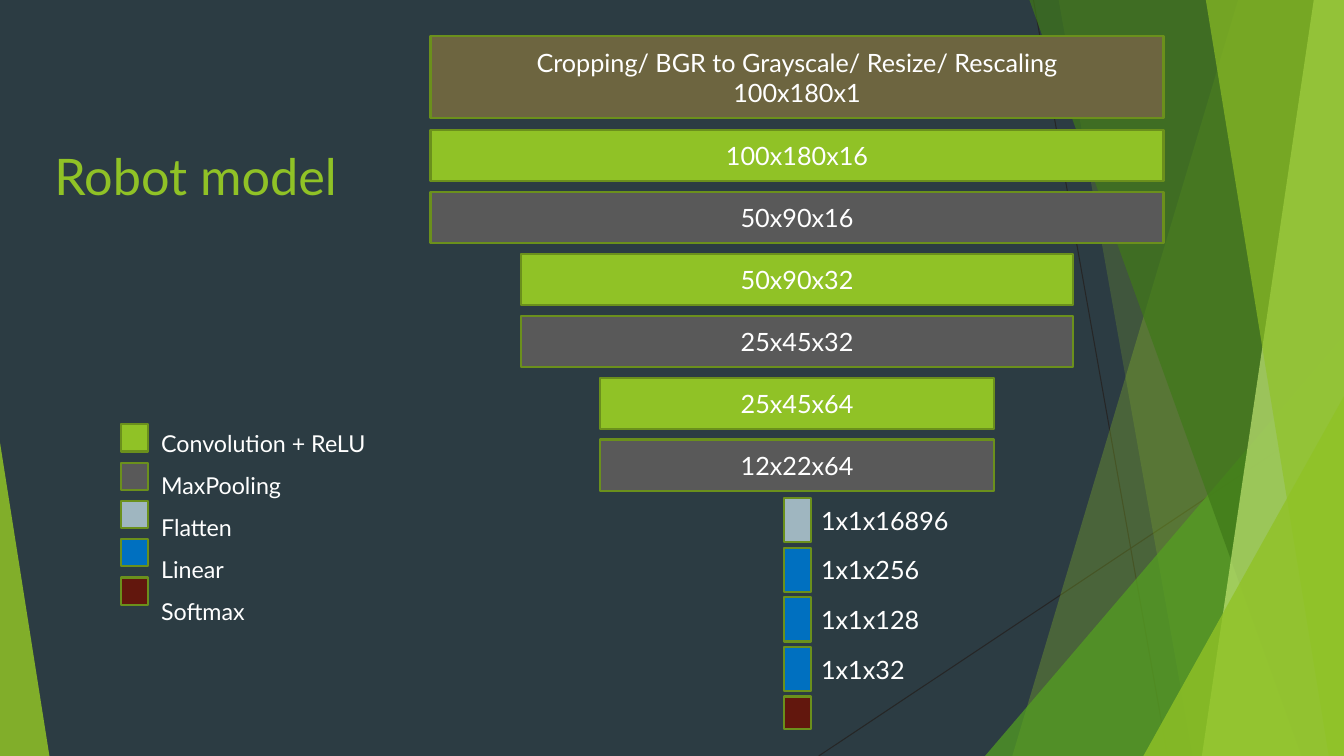
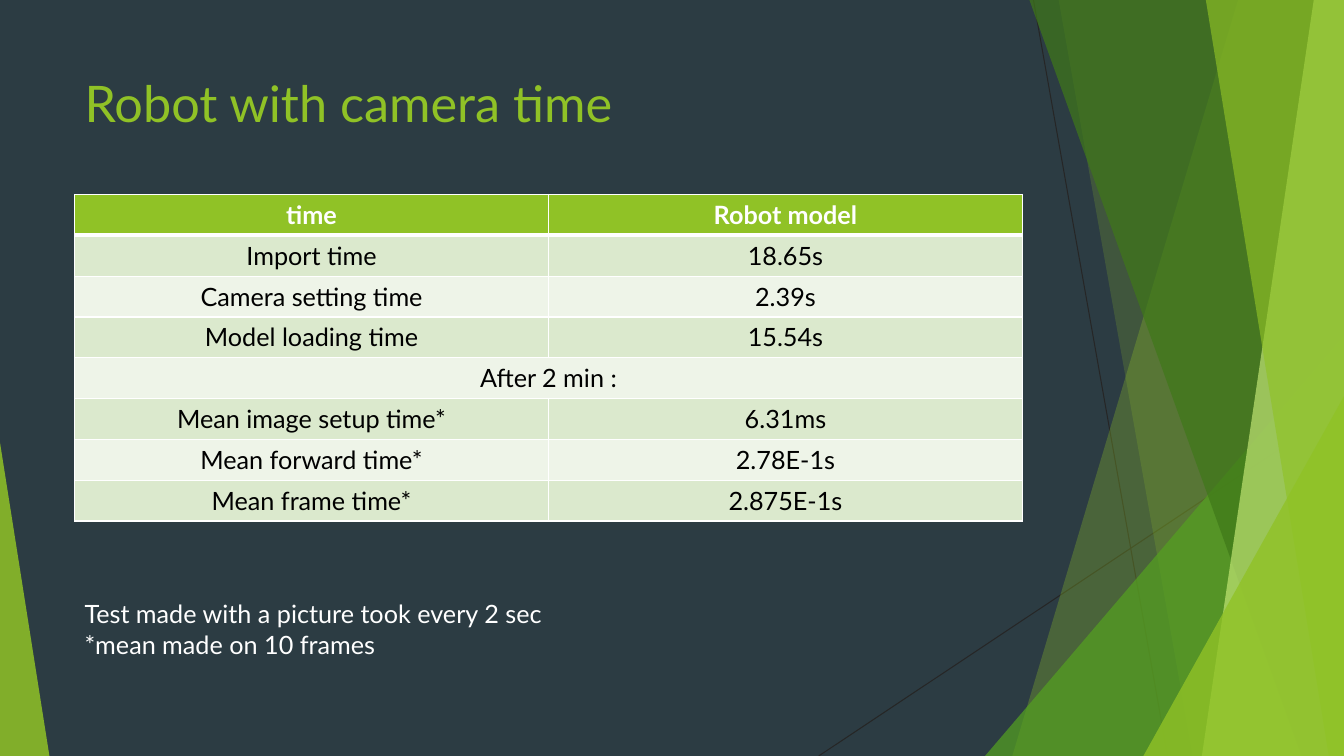
from pptx import Presentation
from pptx import util as u
from pptx.dml.color import RGBColor
from pptx.enum import shapes, text
from pptx.oxml.ns import qn
from lxml import etree

WIDTH, HEIGHT = 13.33, 7.5
FONT = "Lato"
NIGHT, LIME, DARK_LIME, WHITE, BLACK = "2C3C43", "90C226", "6B901C", "FFFFFF", "000000"
GREEN, FOREST, PALE_LIME, CHARCOAL = "54A021", "3F7819", "C0E474", "262626"
OLIVE, GRAY, STEEL, BLUE, MAROON = "6D6540", "595959", "9FB6C0", "0070C0", "62170D"
BANDS = ("EEF4E8", "DBE9CD")
CENTER, LEFT = text.PP_ALIGN.CENTER, text.PP_ALIGN.LEFT
TITLE = {"size": 36, "color": LIME}
BODY = {"size": 18, "color": WHITE}

LEGEND = [("Convolution + ReLU", LIME), ("MaxPooling", GRAY), ("Flatten", STEEL),
          ("Linear", BLUE), ("Softmax", MAROON)]
FEATURE_MAPS = [("100x180x16", 7.27), ("50x90x16", 7.27), ("50x90x32", 5.48),
                ("25x45x32", 5.48), ("25x45x64", 3.91), ("12x22x64", 3.91)]
DENSE_LAYERS = [("1x1x16896", STEEL), ("1x1x256", BLUE), ("1x1x128", BLUE), ("1x1x32", BLUE)]
TIMES = [("time", "Robot model"), ("Import time", "18.65s"), ("Camera setting time", "2.39s"),
         ("Model loading time", "15.54s"), ("After 2 min :", None),
         ("Mean image setup time*", "6.31ms"), ("Mean forward time*", "2.78E-1s"),
         ("Mean frame time*", "2.875E-1s")]


def rgb(value):
    return RGBColor.from_string(value)


def inches(*values):
    return [u.Inches(value) for value in values]


def assign(target, values):
    for name, value in values.items():
        setattr(target, name, value)


def write(frame, lines, style, align=LEFT, before=0):
    for index, line in enumerate(lines):
        paragraph = frame.paragraphs[0] if index == 0 else frame.add_paragraph()
        assign(paragraph, {"alignment": align, "space_before": u.Pt(before)})
        run = paragraph.add_run()
        run.text = line
        assign(run.font, {"name": FONT, "size": u.Pt(style["size"]),
                          "bold": style.get("bold", False)})
        run.font.color.rgb = rgb(style["color"])


def paint(shape, fill, alpha=100, line=None):
    shape.shadow.inherit = False
    shape.fill.solid()
    shape.fill.fore_color.rgb = rgb(fill)
    if alpha < 100:
        color = shape.fill._xPr.find(qn("a:solidFill"))[0]
        etree.SubElement(color, qn("a:alpha"), val=str(alpha * 1000))
    if line:
        shape.line.color.rgb = rgb(line)
        shape.line.width = u.Pt(1.5)
    else:
        shape.line.fill.background()


def add_text(slide, box, lines, style, before=0):
    frame = slide.shapes.add_textbox(*inches(*box)).text_frame
    assign(frame, {"word_wrap": True, "vertical_anchor": text.MSO_ANCHOR.TOP})
    write(frame, lines, style, before=before)


def add_block(slide, box, fill, lines=()):
    block = slide.shapes.add_shape(shapes.MSO_SHAPE.RECTANGLE, *inches(*box))
    paint(block, fill, line=DARK_LIME)
    assign(block.text_frame, {"word_wrap": True, "vertical_anchor": text.MSO_ANCHOR.MIDDLE})
    write(block.text_frame, lines, BODY, CENTER)


def add_ray(slide, start, end):
    ray = slide.shapes.add_connector(shapes.MSO_CONNECTOR.STRAIGHT, *inches(*start, *end))
    ray.line.color.rgb = rgb(CHARCOAL)
    ray.line.width = u.Pt(0.75)
    etree.SubElement(ray._element.spPr, qn("a:effectLst"))


def add_shard(slide, top_x, bottom_x, color, alpha):
    builder = slide.shapes.build_freeform(*inches(top_x, 0))
    corners = [(WIDTH, 0), (WIDTH, HEIGHT), (bottom_x, HEIGHT)]
    builder.add_line_segments([inches(*corner) for corner in corners], close=True)
    paint(builder.convert_to_shape(), color, alpha)


def add_corner(slide, left, top, width, peak, color, alpha):
    corner = slide.shapes.add_shape(shapes.MSO_SHAPE.ISOSCELES_TRIANGLE,
                                    *inches(left, top, width, HEIGHT - top))
    corner.adjustments[0] = peak
    paint(corner, color, alpha)


def add_backdrop(slide):
    slide.background.fill.solid()
    slide.background.fill.fore_color.rgb = rgb(NIGHT)
    add_ray(slide, (10.25, 0), (11.58, HEIGHT))
    add_ray(slide, (WIDTH, 4.03), (8.12, HEIGHT))
    add_shard(slide, 12.28, 10.04, LIME, 30)
    add_shard(slide, 10.5, 11.83, LIME, 20)
    add_corner(slide, 9.77, 3.33, 3.56, 1, GREEN, 72)
    add_shard(slide, 10.21, 12.91, FOREST, 70)
    add_shard(slide, 13.03, 11.92, PALE_LIME, 70)
    add_shard(slide, 11.96, 13.18, LIME, 65)
    add_corner(slide, 11.34, 3.93, 1.99, 1, LIME, 80)
    add_corner(slide, 0, 4.39, 0.49, 0, LIME, 85)


def add_slide(presentation, title, box):
    slide = presentation.slides.add_slide(presentation.slide_layouts[6])
    add_backdrop(slide)
    add_text(slide, box, [title], TITLE)
    return slide


def add_legend(slide, left, top, width, height):
    swatch, pitch = 0.27, 0.38
    for index, (_, color) in enumerate(LEGEND):
        add_block(slide, (left, top + index * pitch, swatch, swatch), color)
    add_text(slide, (left + 0.3, top, width - 0.3, height), [name for name, _ in LEGEND],
             {"size": 16.6, "color": WHITE}, before=10)


def add_network(slide, left, top, width, height):
    middle, bar_top, bar_height = left + width / 2, top + 0.93, 0.51
    add_block(slide, (left, top, width, 0.81), OLIVE,
              ["Cropping/ BGR to Grayscale/ Resize/ Rescaling", "100x180x1"])
    bar_pitch = 3.07 / (len(FEATURE_MAPS) - 1)
    for index, (size, bar_width) in enumerate(FEATURE_MAPS):
        add_block(slide, (middle - bar_width / 2, bar_top + index * bar_pitch,
                          bar_width, bar_height), (LIME, GRAY)[index % 2], [size])
    dense_left, dense_top, dense_width, end_height = middle - 0.13, top + 4.58, 0.27, 0.32
    end_top = top + height - end_height
    dense_pitch = (end_top - dense_top) / len(DENSE_LAYERS)
    for index, (size, color) in enumerate(DENSE_LAYERS):
        layer_top = dense_top + index * dense_pitch
        add_block(slide, (dense_left, layer_top, dense_width, 0.44), color)
        add_text(slide, (dense_left + dense_width, layer_top + 0.02, 1.88, 0.4), [size], BODY)
    add_block(slide, (dense_left, end_top, dense_width, end_height), MAROON)


def add_borders(cell, header):
    properties = cell._tc.get_or_add_tcPr()
    for index, side in enumerate(("lnL", "lnR", "lnT", "lnB")):
        points = 3 if header and side == "lnB" else 1
        border = etree.Element(qn("a:" + side), w=str(u.Pt(points)))
        fill = etree.SubElement(border, qn("a:solidFill"))
        etree.SubElement(fill, qn("a:srgbClr"), val=WHITE)
        properties.insert(index, border)


def add_times(slide, left, top, width, height):
    table = slide.shapes.add_table(len(TIMES), 2, *inches(left, top, width, height)).table
    for row, values in enumerate(TIMES):
        header = row == 0
        style = {"size": 18, "color": WHITE if header else BLACK, "bold": header}
        for column, value in enumerate(values):
            cell = table.cell(row, column)
            cell.fill.solid()
            cell.fill.fore_color.rgb = rgb(LIME if header else BANDS[row % 2])
            add_borders(cell, header)
            if value is None:
                table.cell(row, 0).merge(cell)
            else:
                write(cell.text_frame, [value], style, CENTER)


def build_model_slide(presentation):
    slide = add_slide(presentation, "Robot model", (0.44, 1.39, 3.3, 0.93))
    add_legend(slide, 1.2, 4.21, 2.72, 1.86)
    add_network(slide, 4.27, 0.36, 7.27, 6.87)


def build_times_slide(presentation):
    left, width = 0.74, 9.4
    slide = add_slide(presentation, "Robot with camera time", (left, 0.67, width, 1.44))
    add_times(slide, left, 1.93, width, 3.24)
    add_text(slide, (left, 5.89, 5.3, 0.71),
             ["Test made with a picture took every 2 sec", "*mean made on 10 frames"], BODY)


presentation = Presentation()
assign(presentation, {"slide_width": u.Inches(WIDTH), "slide_height": u.Inches(HEIGHT)})
build_model_slide(presentation)
build_times_slide(presentation)
presentation.save("out.pptx")
